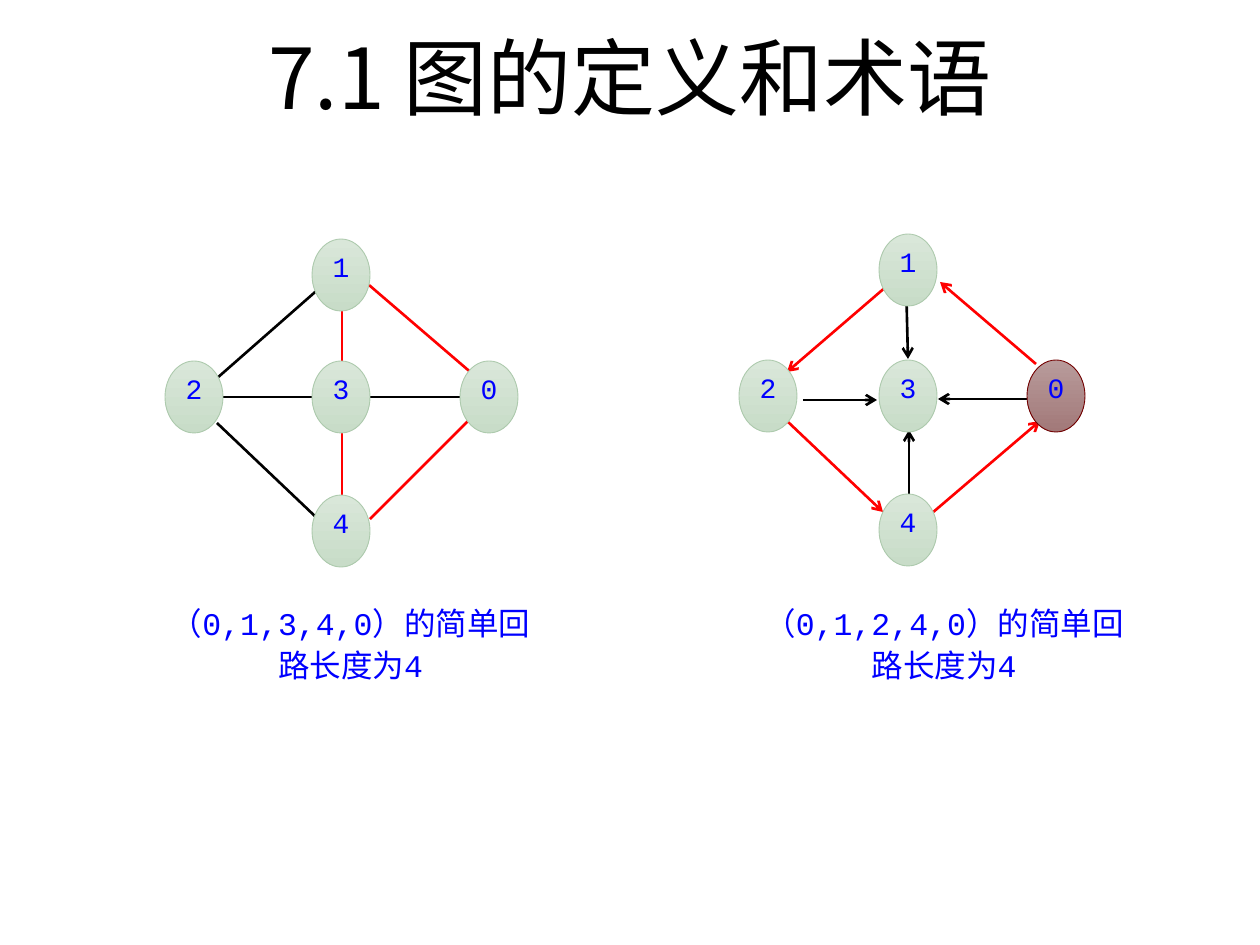
from lxml import etree
from pptx import Presentation
from pptx.dml.color import RGBColor
from pptx.enum.shapes import MSO_CONNECTOR, MSO_SHAPE
from pptx.enum.text import MSO_ANCHOR, PP_ALIGN
from pptx.oxml.ns import qn
from pptx.util import Emu, Pt

STRAIGHT = MSO_CONNECTOR.STRAIGHT
OVAL, RECTANGLE = MSO_SHAPE.OVAL, MSO_SHAPE.RECTANGLE
TOP, MIDDLE = MSO_ANCHOR.TOP, MSO_ANCHOR.MIDDLE
CENTER = PP_ALIGN.CENTER
PX = 914400 / 126
BLACK, RED, BLUE, WHITE = "000000", "FF0000", "0000FF", "FFFFFF"
CJK, MONO = "Noto Sans CJK SC", "Courier New"
GREEN_NODE = ("D9E7D9", "C8DCC8", "ADCAAD")
RED_NODE = ("B89B9B", "A27979", "730000")
NODE_WIDTH, NODE_HEIGHT = 58, 72


def emu(*lengths):
    return [Emu(round(length * PX)) for length in lengths]


def write(shape, text, size, font, color, anchor=TOP, inset=0, spacing=None):
    """Put one centred paragraph in the shape."""
    frame = shape.text_frame
    margins = dict.fromkeys(("margin_left", "margin_top", "margin_right", "margin_bottom"), inset)
    for name, value in {"word_wrap": True, "vertical_anchor": anchor, **margins}.items():
        setattr(frame, name, value)
    para = frame.paragraphs[0]
    para.alignment, para.line_spacing = CENTER, spacing
    span = para.add_run()
    span.text = text
    for name, value in {"size": Pt(size), "name": font}.items():
        setattr(span.font, name, value)
    span.font.color.rgb = RGBColor.from_string(color)
    etree.SubElement(span.font._element, qn("a:ea"), typeface=CJK)


deck = Presentation()
deck.slide_width, deck.slide_height = emu(1260, 945)
page = deck.slides.add_slide(deck.slide_layouts[5])
title = page.shapes.title
title.left, title.top, title.width, title.height = emu(63, 16, 1134, 120)
write(title, "7.1 图的定义和术语", 48, CJK, BLACK, MIDDLE, Pt(4))

# Edges: x1, y1, x2, y2, colour
undirected_edges = [
    (217, 423, 318, 519, BLACK),
    (370, 519, 469, 420, RED),
    (369, 285, 475, 376, RED),
    (322, 286, 207, 387, BLACK),
    (202, 397, 496, 397, BLACK),
    (342, 311, 342, 528, RED),
]
directed_edges = [
    (906, 278, 908, 359, BLACK),
    (909, 501, 909, 430, BLACK),
    (1027, 399, 938, 399, BLACK),
    (803, 400, 877, 400, BLACK),
    (787, 421, 883, 512, RED),
    (931, 514, 1040, 421, RED),
    (1036, 364, 940, 282, RED),
    (887, 286, 787, 372, RED),
]
# Nodes: label, left, top, colours
undirected_nodes = [
    ("1", 312, 239, GREEN_NODE),
    ("3", 312, 361, GREEN_NODE),
    ("0", 460, 361, GREEN_NODE),
    ("2", 165, 361, GREEN_NODE),
    ("4", 312, 495, GREEN_NODE),
]
directed_nodes = [
    ("1", 879, 234, GREEN_NODE),
    ("3", 879, 360, GREEN_NODE),
    ("0", 1027, 360, RED_NODE),
    ("2", 739, 360, GREEN_NODE),
    ("4", 879, 494, GREEN_NODE),
]
graphs = [
    (undirected_edges, undirected_nodes, False, 164, 373, "（0,1,3,4,0）的简单回路长度为4"),
    (directed_edges, directed_nodes, True, 755, 378, "（0,1,2,4,0）的简单回路长度为4"),
]

for edges, nodes, directed, caption_left, caption_width, caption_text in graphs:
    for *ends, color in edges:
        edge = page.shapes.add_connector(STRAIGHT, *emu(*ends))
        edge.line.width = Pt(1.5)
        edge.line.color.rgb = RGBColor.from_string(color)
        if directed:
            etree.SubElement(edge.line._get_or_add_ln(), qn("a:tailEnd"), type="arrow")
        etree.SubElement(edge._element.spPr, qn("a:effectLst"))

    for label, left, top, (light, dark, outline) in nodes:
        node = page.shapes.add_shape(OVAL, *emu(left, top, NODE_WIDTH, NODE_HEIGHT))
        node.shadow.inherit = False
        node.fill.gradient()
        node.fill.gradient_angle = 270
        for stop, position, color in zip(node.fill.gradient_stops, (0, 1), (light, dark)):
            stop.position = position
            stop.color.rgb = RGBColor.from_string(color)
        node.line.width = Pt(0.5)
        node.line.color.rgb = RGBColor.from_string(outline)
        write(node, label, 16, MONO, BLUE)

    caption = page.shapes.add_shape(RECTANGLE, *emu(caption_left, 600, caption_width, 131))
    caption.shadow.inherit = False
    caption.fill.solid()
    caption.fill.fore_color.rgb = RGBColor.from_string(WHITE)
    caption.line.fill.background()
    write(caption, caption_text, 18, MONO, BLUE, spacing=Pt(24))

deck.save("out.pptx")
